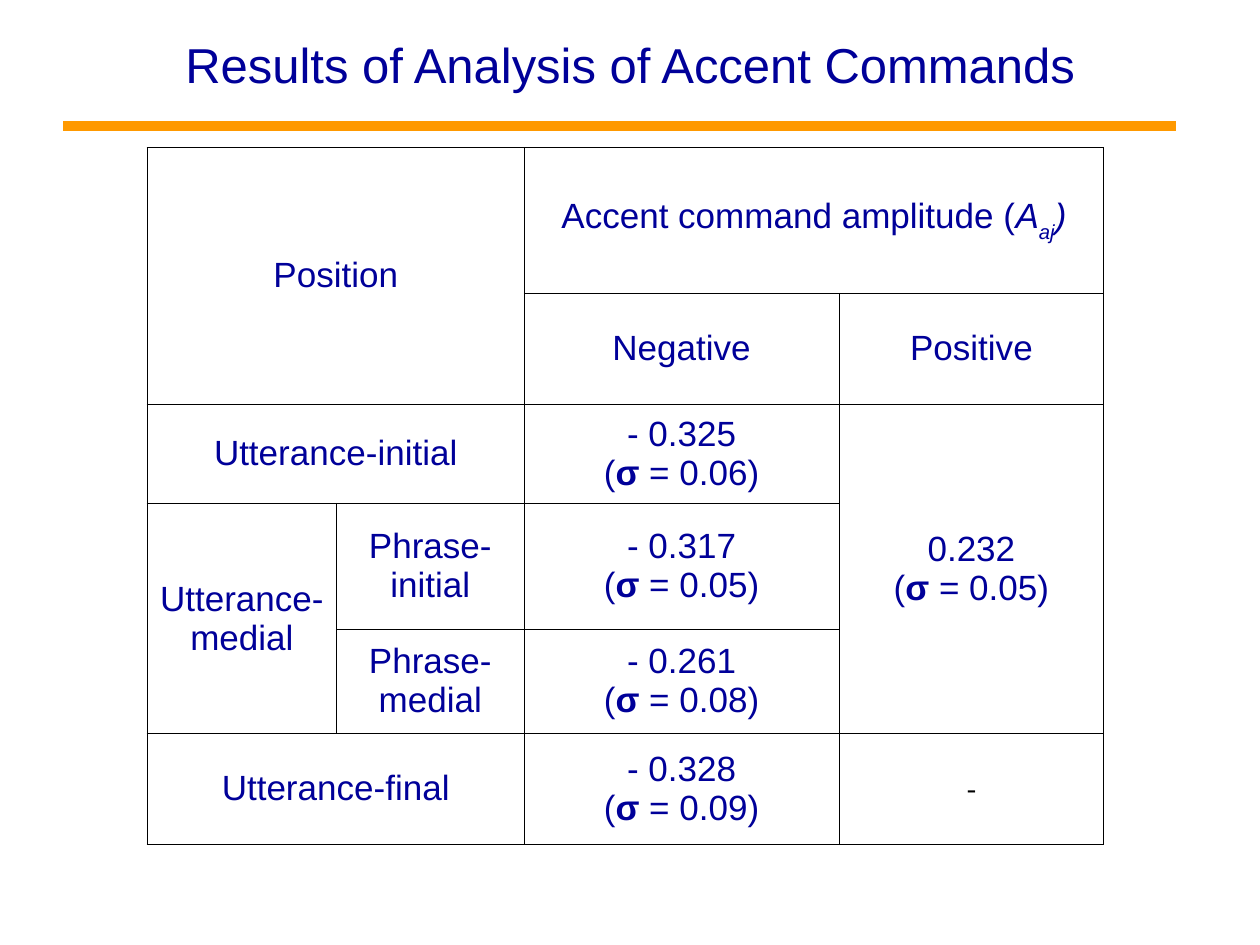
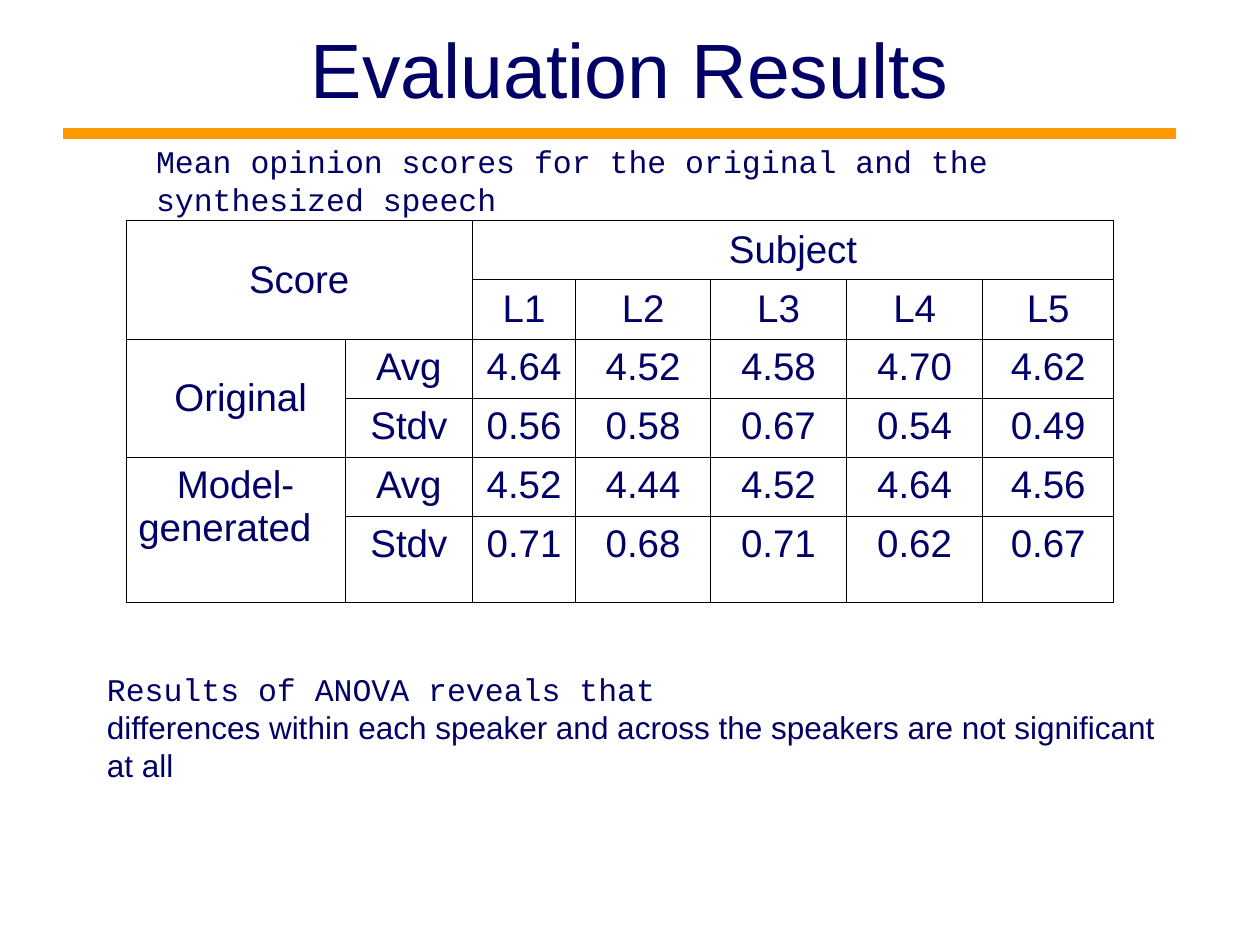
from dataclasses import dataclass, replace
from typing import NamedTuple

from lxml.etree import SubElement
from pptx import Presentation
from pptx.dml.color import RGBColor
from pptx.enum.shapes import MSO_CONNECTOR as Connector
from pptx.enum.text import MSO_ANCHOR as Anchor, PP_ALIGN as Align
from pptx.oxml import parse_xml
from pptx.oxml.ns import nsdecls, qn
from pptx.util import Inches, Pt


@dataclass(frozen=True)
class Theme:
    """Colours, fonts, type sizes and line widths of the deck."""
    blue: str = "000099"
    navy: str = "000066"
    black: str = "000000"
    orange: str = "FF9900"
    sans: str = "Arial"
    mono: str = "Courier New"
    serif: str = "Times New Roman"
    long_title: int = 28
    short_title: int = 44
    accent_cell: int = 20
    score_cell: int = 22
    note: int = 18
    dash: int = 16
    rule: float = 6
    border: float = 0.45
    side_border: float = 0.96


THEME = Theme()
COLUMN = ROW = Inches(0.1)
SLIDE_COLUMNS, SLIDE_ROWS = 100, 75


class Box(NamedTuple):
    """A rectangle in grid columns and rows."""
    left: float
    top: float
    width: float
    height: float

    def lengths(self):
        """Return the rectangle in slide units."""
        return (round(self.left * COLUMN), round(self.top * ROW),
                round(self.width * COLUMN), round(self.height * ROW))


@dataclass(frozen=True)
class Style:
    """Character formatting of a run."""
    size: int
    color: str
    font: str = THEME.sans
    bold: bool = False
    italic: bool = False
    baseline: int = 0


def add_run(paragraph, text, style):
    """Append one formatted run."""
    run = paragraph.add_run()
    run.text = text
    font = run.font
    font.size, font.name = Pt(style.size), style.font
    font.bold, font.italic = style.bold, style.italic
    font.color.rgb = RGBColor.from_string(style.color)
    if style.baseline:
        run._r.get_or_add_rPr().set("baseline", str(style.baseline * 1000))


def write(frame, paragraphs, align):
    """Fill a text frame with paragraphs, each a list of (text, style) runs."""
    for index, runs in enumerate(paragraphs):
        paragraph = frame.add_paragraph() if index else frame.paragraphs[0]
        paragraph.alignment = align
        for text, style in runs:
            add_run(paragraph, text, style)


def add_text(slide, box, paragraphs, align=Align.LEFT):
    """Place a wrapped text box, centred vertically in its box."""
    frame = slide.shapes.add_textbox(*box.lengths()).text_frame
    frame.word_wrap = True
    frame.vertical_anchor = Anchor.MIDDLE
    write(frame, paragraphs, align)


def add_header(slide, box, title, style, rule_row):
    """Place the slide title and the orange rule below it."""
    add_text(slide, box, [[(title, style)]], Align.CENTER)
    left, top, width, _ = Box(5, rule_row, 88.3, 0).lengths()
    rule = slide.shapes.add_connector(Connector.STRAIGHT, left, top, left + width, top)
    rule.line.width = Pt(THEME.rule)
    rule.line.color.rgb = RGBColor.from_string(THEME.orange)
    SubElement(rule._element.spPr, qn("a:effectLst"))


def set_borders(cell, widths):
    """Draw the left, right, top and bottom borders of a cell."""
    properties = cell._tc.get_or_add_tcPr()
    for index, (side, width) in enumerate(zip("LRTB", widths)):
        properties.insert(index, parse_xml(
            f'<a:ln{side} {nsdecls("a")} w="{Pt(width)}"><a:solidFill>'
            f'<a:srgbClr val="{THEME.black}"/></a:solidFill></a:ln{side}>'))


def add_grid_table(slide, box, columns, rows, spans, side_border):
    """Add an unfilled ruled table whose columns and rows share out its box."""
    left, top, width, height = box.lengths()
    table = slide.shapes.add_table(len(rows), len(columns), left, top, width, height).table
    table.first_row = table.horz_banding = False
    for column, share in zip(table.columns, columns):
        column.width = round(width * share / sum(columns))
    for row, share in zip(table.rows, rows):
        row.height = round(height * share / sum(rows))
    for (row, column), (last_row, last_column) in spans:
        table.cell(row, column).merge(table.cell(last_row, last_column))
    for row in range(len(rows)):
        for column in range(len(columns)):
            cell = table.cell(row, column)
            cell.fill.background()
            cell.vertical_anchor = Anchor.MIDDLE
            reach = column + (cell.span_width if cell.is_merge_origin else 1)
            set_borders(cell, (side_border if column == 0 else THEME.border,
                               side_border if reach == len(columns) else THEME.border,
                               THEME.border, THEME.border))
    return table


def accent_table(slide, box):
    """Build the table of accent command amplitudes by position."""
    style = Style(THEME.accent_cell, THEME.blue)
    italic = replace(style, italic=True)
    bold = replace(style, bold=True)
    spans = [((0, 0), (1, 1)), ((0, 2), (0, 3)), ((2, 0), (2, 1)),
             ((2, 3), (4, 3)), ((3, 0), (4, 0)), ((5, 0), (5, 1))]
    table = add_grid_table(slide, box, [1.5, 1.49, 2.5, 2.1],
                           [1.16, 0.88, 0.79, 1, 0.83, 0.88], spans, THEME.side_border)
    labels = {(0, 0): "Position", (1, 2): "Negative", (1, 3): "Positive",
              (2, 0): "Utterance-initial", (3, 0): "Utterance- medial",
              (3, 1): "Phrase- initial", (4, 1): "Phrase- medial",
              (5, 0): "Utterance-final"}
    measures = {(2, 2): ("- 0.325", "0.06"), (3, 2): ("- 0.317", "0.05"),
                (4, 2): ("- 0.261", "0.08"), (5, 2): ("- 0.328", "0.09"),
                (2, 3): ("0.232", "0.05")}
    contents = {place: [[(label, style)]] for place, label in labels.items()}
    for place, (mean, sigma) in measures.items():
        contents[place] = [[(mean, style)],
                           [("(", style), ("σ", bold), (f" = {sigma})", style)]]
    contents[0, 2] = [[("Accent command amplitude (", style), ("A", italic),
                       ("aj", replace(italic, baseline=-30)), (")", italic)]]
    contents[5, 3] = [[("-", Style(THEME.dash, THEME.black, THEME.serif))]]
    for place, paragraphs in contents.items():
        write(table.cell(*place).text_frame, paragraphs, Align.CENTER)


def score_table(slide, box):
    """Build the table of mean opinion scores by subject."""
    style = Style(THEME.score_cell, THEME.navy)
    spans = [((0, 0), (1, 1)), ((0, 2), (0, 6)), ((2, 0), (3, 0)), ((4, 0), (5, 0))]
    table = add_grid_table(slide, box, [1.74, 1.01, 0.82, 1.07, 1.08, 1.08, 1.04],
                           [0.47] * 5 + [0.68], spans, THEME.border)
    texts = [["Score", "", "Subject"],
             ["", "", "L1", "L2", "L3", "L4", "L5"],
             ["Original", "Avg", "4.64", "4.52", "4.58", "4.70", "4.62"],
             ["", "Stdv", "0.56", "0.58", "0.67", "0.54", "0.49"],
             ["Model-\ngenerated", "Avg", "4.52", "4.44", "4.52", "4.64", "4.56"],
             ["", "Stdv", "0.71", "0.68", "0.71", "0.62", "0.67"]]
    for row, line in enumerate(texts):
        for column, text in enumerate(line):
            if text:
                cell = table.cell(row, column)
                write(cell.text_frame, [[(part, style)] for part in text.split("\n")],
                      Align.CENTER)
                if row > 1 and column:
                    cell.vertical_anchor = Anchor.TOP
    table.cell(2, 0).margin_left = Inches(0.18)
    model = table.cell(4, 0)
    model.vertical_anchor = Anchor.TOP
    model.margin_left, model.margin_right = Inches(0.02), Inches(0.19)
    first = model.text_frame.paragraphs[0]._p.get_or_add_pPr()
    first.set("marL", str(Inches(0.17)))


def accent_slide(presentation):
    """Build the slide on accent commands."""
    slide = presentation.slides.add_slide(presentation.slide_layouts[6])
    accent_table(slide, Box(11.7, 11.7, 75.9, 55.3))
    add_header(slide, Box(7.5, 1.7, 85, 6.7), "Results of Analysis of Accent Commands",
               Style(THEME.long_title, THEME.blue), 10)


def evaluation_slide(presentation):
    """Build the slide on listening scores."""
    slide = presentation.slides.add_slide(presentation.slide_layouts[6])
    mono = Style(THEME.note, THEME.navy, THEME.mono)
    score_table(slide, Box(10, 17.5, 78.4, 30.3))
    add_text(slide, Box(11.4, 11.2, 78.3, 6.2),
             [[("Mean opinion scores for the original and the synthesized speech", mono)]])
    add_text(slide, Box(7.5, 52.7, 86.7, 10),
             [[("Results of ANOVA reveals that", mono)],
              [("differences within each speaker and across the speakers are not "
                "significant at all", replace(mono, font=THEME.sans))]])
    add_header(slide, Box(5, 0, 90, 10.8), "Evaluation Results",
               Style(THEME.short_title, THEME.navy), 10.6)


def main():
    """Build and save the presentation."""
    presentation = Presentation()
    presentation.slide_width = SLIDE_COLUMNS * COLUMN
    presentation.slide_height = SLIDE_ROWS * ROW
    accent_slide(presentation)
    evaluation_slide(presentation)
    presentation.save("out.pptx")


if __name__ == "__main__":
    main()
